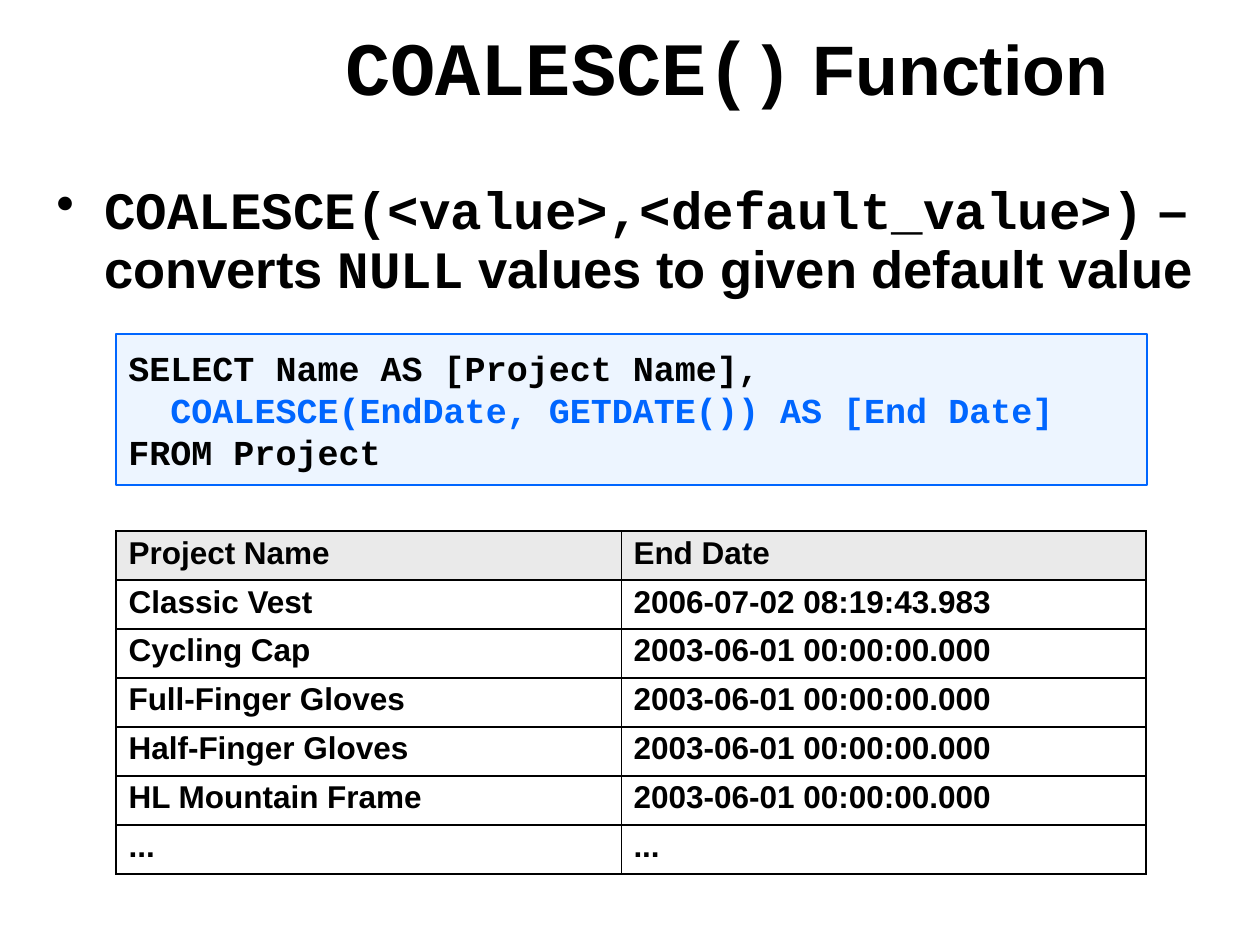
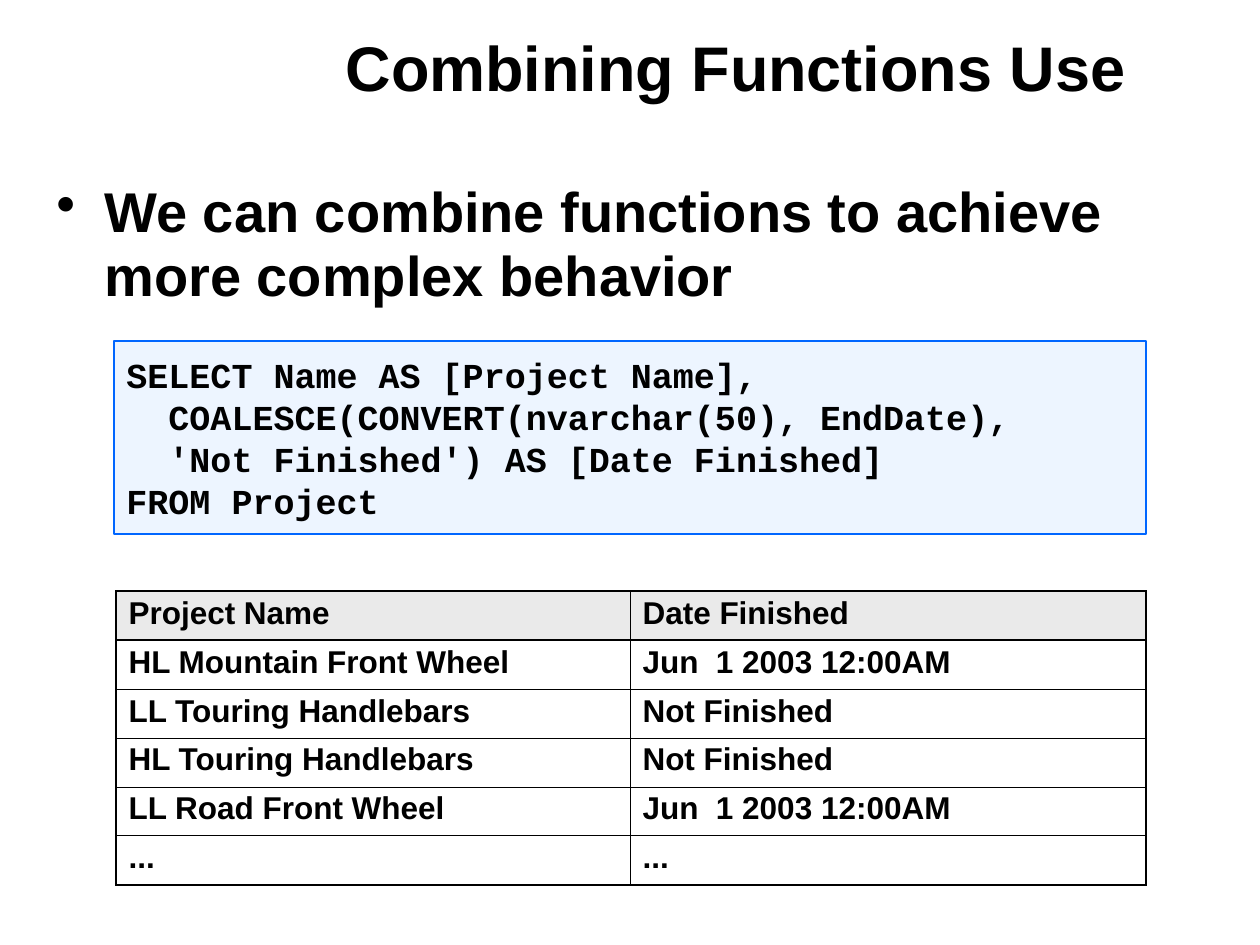
"""Build two slides on SQL functions, each with a title, a bullet, a code box and a result table."""
import pptx
import pptx.dml.color
import pptx.enum.shapes
import pptx.enum.text
import pptx.oxml.ns
import pptx.util
from lxml import etree

PX = pptx.util.Inches(1) // 126
SANS, MONO = "Arial", "Courier New"
BLACK, BLUE, CODE_FILL, HEADER_FILL = "000000", "0066FF", "DDECFF", "EAEAEA"
THICK, THIN = pptx.util.Pt(1.08), pptx.util.Pt(0.45)
TITLE_BOX = (333, 10, 903, 125)
POINT_BOX = (44, 175, 1171, 735)
TABLE_LEFT, ROW_HEIGHT = 116, 49
qn = pptx.oxml.ns.qn


def color(hex_string):
    return pptx.dml.color.RGBColor.from_string(hex_string)


def write(frame, paragraphs, size, font=SANS, spacing=0.95, bullet=False):
    """Fill a frame; each paragraph is a list of (text, format) runs."""
    frame.word_wrap = True
    for index, runs in enumerate(paragraphs):
        paragraph = frame.add_paragraph() if index else frame.paragraphs[0]
        if bullet:
            properties = paragraph._p.get_or_add_pPr()
            properties.set("marL", str(48 * PX))
            properties.set("indent", str(-48 * PX))
            tint = etree.SubElement(properties, qn("a:buClr"))
            etree.SubElement(tint, qn("a:srgbClr"), val=BLACK)
            etree.SubElement(properties, qn("a:buChar"), char="•")
        paragraph.alignment = pptx.enum.text.PP_ALIGN.LEFT
        paragraph.line_spacing = spacing
        for text, style in runs:
            run = paragraph.add_run()
            run.text = text
            run.font.name = style.get("font", font)
            run.font.size = pptx.util.Pt(style.get("size", size))
            run.font.bold = True
            run.font.color.rgb = color(style.get("ink", BLACK))


lessons = [
    {
        "title": [("COALESCE(", {"font": MONO, "size": 43}), (")", {"font": MONO}),
                  (" Function", {})],
        "title_size": 40,
        "point": [("COALESCE(<value>,<default_value>)", {"font": MONO}),
                  (" – converts ", {}), ("NULL", {"font": MONO}),
                  (" values to given default value", {})],
        "point_size": 30,
        "code_box": (116, 334, 1031, 151),
        "code": [[("SELECT Name AS [Project Name],", {})],
                 [("  ", {}),
                  ("COALESCE(EndDate, GETDATE()) AS [End Date]", {"ink": BLUE})],
                 [("FROM Project", {})]],
        "table_top": 531,
        "columns": (505, 525),
        "row_rule": THICK,
        "results": [("Project Name", "End Date"),
                    ("Classic Vest", "2006-07-02 08:19:43.983"),
                    ("Cycling Cap", "2003-06-01 00:00:00.000"),
                    ("Full-Finger Gloves", "2003-06-01 00:00:00.000"),
                    ("Half-Finger Gloves", "2003-06-01 00:00:00.000"),
                    ("HL Mountain Frame", "2003-06-01 00:00:00.000"),
                    ("...", "...")],
    },
    {
        "title": [("Combining Functions Use", {})],
        "title_size": 36,
        "point": [("We can combine functions to achieve more complex behavior", {})],
        "point_size": 32,
        "code_box": (114, 341, 1032, 193),
        "code": [[("SELECT Name AS [Project Name],", {})],
                 [("  COALESCE(CONVERT(nvarchar(50), EndDate),", {})],
                 [("  'Not Finished') AS [Date Finished]", {})],
                 [("FROM Project", {})]],
        "table_top": 591,
        "columns": (514, 516),
        "row_rule": THIN,
        "results": [("Project Name", "Date Finished"),
                    ("HL Mountain Front Wheel", "Jun  1 2003 12:00AM"),
                    ("LL Touring Handlebars", "Not Finished"),
                    ("HL Touring Handlebars", "Not Finished"),
                    ("LL Road Front Wheel", "Jun  1 2003 12:00AM"),
                    ("...", "...")],
    },
]

deck = pptx.Presentation()
deck.slide_width, deck.slide_height = 1260 * PX, 945 * PX
title_only = deck.slide_layouts[5]

for lesson in lessons:
    slide = deck.slides.add_slide(title_only)

    title = slide.shapes.title
    title.left, title.top, title.width, title.height = [n * PX for n in TITLE_BOX]
    title.text_frame.auto_size = pptx.enum.text.MSO_AUTO_SIZE.NONE
    title.text_frame.vertical_anchor = pptx.enum.text.MSO_ANCHOR.MIDDLE
    write(title.text_frame, [lesson["title"]], lesson["title_size"], spacing=0.85)

    point = slide.shapes.add_textbox(*[n * PX for n in POINT_BOX])
    write(point.text_frame, [lesson["point"]], lesson["point_size"], bullet=True)

    code = slide.shapes.add_shape(pptx.enum.shapes.MSO_SHAPE.RECTANGLE,
                                  *[n * PX for n in lesson["code_box"]])
    code.shadow.inherit = False
    code.fill.solid()
    code.fill.fore_color.rgb = color(CODE_FILL)
    code_fill = code.element.spPr.find(qn("a:solidFill")).find(qn("a:srgbClr"))
    etree.SubElement(code_fill, qn("a:alpha"), val="50000")
    code.line.color.rgb = color(BLUE)
    code.line.width = pptx.util.Pt(0.75)
    listing = code.text_frame
    listing.margin_left = listing.margin_right = pptx.util.Inches(0.1)
    listing.margin_top = listing.margin_bottom = pptx.util.Inches(0.1)
    listing.vertical_anchor = pptx.enum.text.MSO_ANCHOR.TOP
    listing.auto_size = pptx.enum.text.MSO_AUTO_SIZE.SHAPE_TO_FIT_TEXT
    write(listing, lesson["code"], 20, font=MONO, spacing=pptx.util.Pt(24))

    results, columns, rule = lesson["results"], lesson["columns"], lesson["row_rule"]
    last = len(results) - 1
    table = slide.shapes.add_table(
        len(results), len(columns), TABLE_LEFT * PX, lesson["table_top"] * PX,
        sum(columns) * PX, len(results) * ROW_HEIGHT * PX).table
    table.first_row = table.horz_banding = False
    for column, width in zip(table.columns, columns):
        column.width = width * PX
    for row, values in enumerate(results):
        table.rows[row].height = ROW_HEIGHT * PX
        for col, value in enumerate(values):
            cell = table.cell(row, col)
            write(cell.text_frame, [[(value, {})]], 18)
            borders = {"a:lnL": THIN if col else THICK,
                       "a:lnR": THICK if col else THIN,
                       "a:lnT": THICK if row <= 1 else rule,
                       "a:lnB": THICK if row in (0, last) else rule}
            for side, weight in borders.items():
                edge = etree.SubElement(cell._tc.get_or_add_tcPr(), qn(side), w=str(weight))
                paint = etree.SubElement(edge, qn("a:solidFill"))
                etree.SubElement(paint, qn("a:srgbClr"), val=BLACK)
            if row:
                cell.fill.background()
            else:
                cell.fill.solid()
                cell.fill.fore_color.rgb = color(HEADER_FILL)

deck.save("out.pptx")
